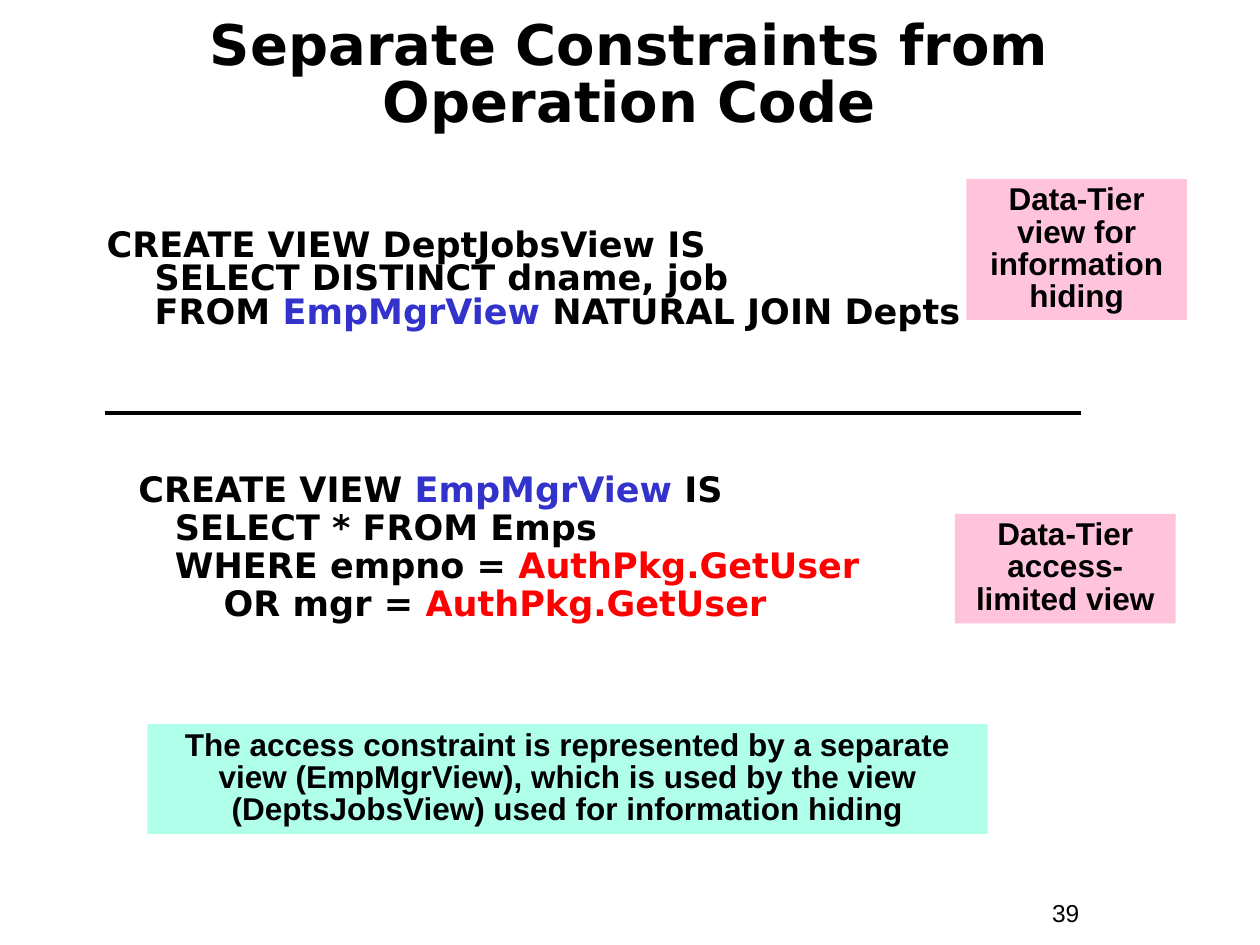
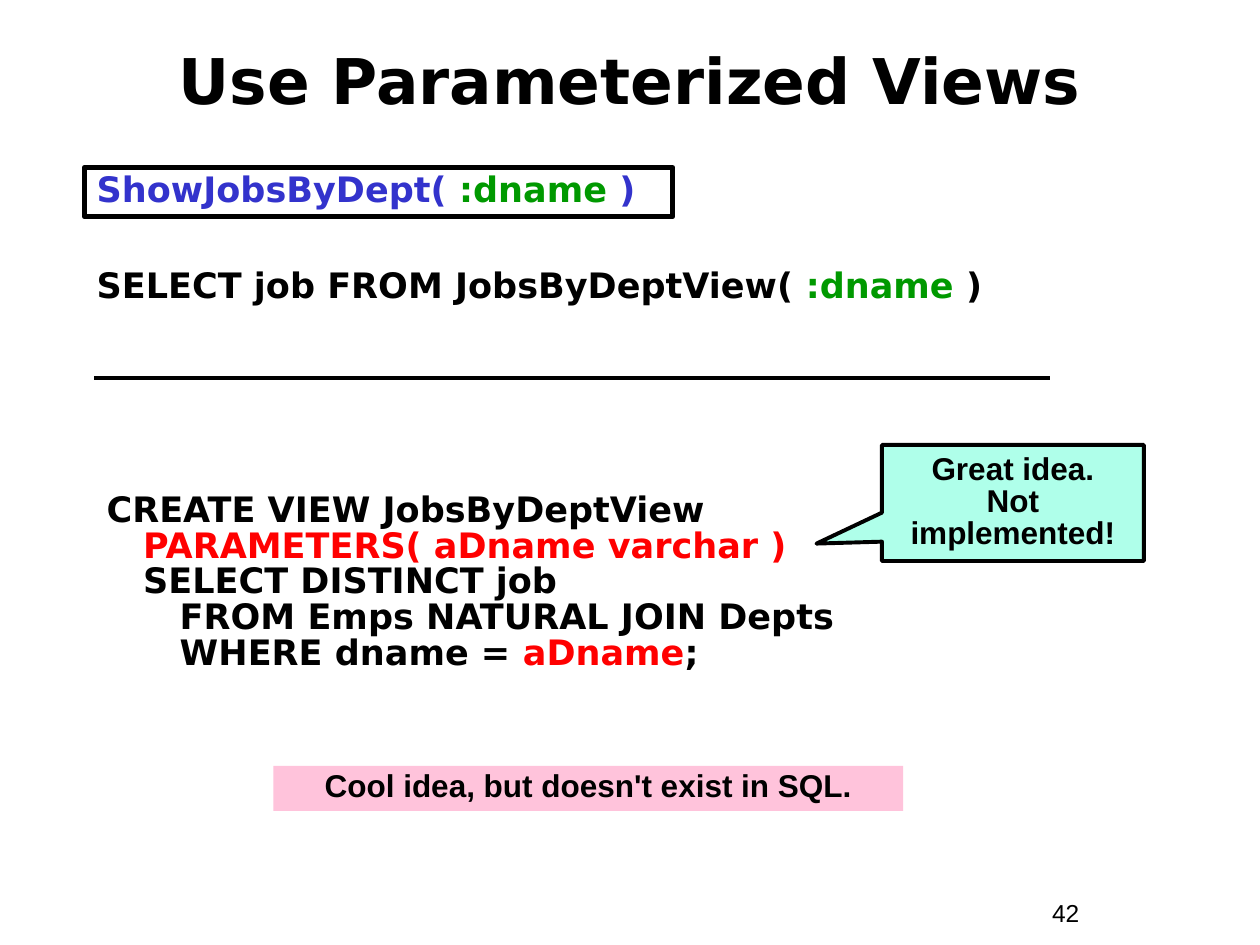
"""Build two slides on separating constraints with database views."""
from dataclasses import dataclass
from typing import NamedTuple, Optional, Union

import pptx
import pptx.dml.color
import pptx.enum.shapes
import pptx.enum.text
import pptx.oxml
import pptx.util

Cm = pptx.util.Cm
Pt = pptx.util.Pt
Kind = pptx.enum.shapes.MSO_SHAPE
Align = pptx.enum.text.PP_ALIGN
Anchor = pptx.enum.text.MSO_ANCHOR

INK = {
    "black": "000000",
    "blue": "3333CC",
    "red": "FF0000",
    "green": "009900",
    "pink": "FFC3DB",
    "mint": "AFFFEA",
}
SANS = "DejaVu Sans"
DRAW = "http://schemas.openxmlformats.org/drawingml/2006/main"


class Piece(NamedTuple):
    text: str
    ink: str = "black"


class Spot(NamedTuple):
    left: float
    top: float
    width: float
    height: float


class Style(NamedTuple):
    font: str
    size: int
    bold: bool = True
    align: Align = Align.LEFT
    anchor: Anchor = Anchor.TOP


Line = Union[str, list[Piece]]
HEAD = Style(SANS, 36, align=Align.CENTER, anchor=Anchor.MIDDLE)
CODE = Style(SANS, 20)
NOTE = Style("Arial", 18, align=Align.CENTER)
PAGE = Style("Arial", 14, bold=False)


@dataclass
class Block:
    spot: Spot
    style: Style
    lines: list[Line]
    pitch: float = 0.85
    kind: Optional[Kind] = None
    fill: str = ""
    edge: float = 0
    hang: float = 0
    tip: tuple[float, ...] = ()


@dataclass
class Page:
    number: int
    rule: tuple[float, float, float]
    blocks: list[Block]


def shade(name: str) -> pptx.dml.color.RGBColor:
    """Return the named colour."""
    return pptx.dml.color.RGBColor.from_string(INK[name])


def write(frame, block: Block) -> None:
    """Fill a text frame with the lines of a block."""
    style = block.style
    frame.word_wrap = True
    frame.vertical_anchor = style.anchor
    for row, line in enumerate(block.lines):
        para = frame.add_paragraph() if row else frame.paragraphs[0]
        pieces = [Piece(line)] if isinstance(line, str) else line
        para.text = pieces[0].text
        for piece in pieces[1:]:
            para.add_run().text = piece.text
        para.alignment = style.align
        para.line_spacing = block.pitch
        if row and block.hang:
            para._p.get_or_add_pPr().set("marL", str(Cm(block.hang)))
        for run, piece in zip(para.runs, pieces):
            run.font.name = style.font
            run.font.size = Pt(style.size)
            run.font.bold = style.bold
            run.font.color.rgb = shade(piece.ink)


def place(slide, block: Block) -> None:
    """Draw a block as a text box or as a preset shape."""
    spot = [Cm(side) for side in block.spot]
    if block.kind is None:
        write(slide.shapes.add_textbox(*spot).text_frame, block)
        return
    shape = slide.shapes.add_shape(block.kind, *spot)
    shape.shadow.inherit = False
    for index, value in enumerate(block.tip):
        shape.adjustments[index] = value
    if block.fill:
        shape.fill.solid()
        shape.fill.fore_color.rgb = shade(block.fill)
    else:
        shape.fill.background()
    if block.edge:
        shape.line.color.rgb = shade("black")
        shape.line.width = Pt(block.edge)
    else:
        shape.line.fill.background()
    write(shape.text_frame, block)


def divide(slide, start: float, end: float, top: float) -> None:
    """Draw the rule between the two code samples."""
    rule = slide.shapes.add_connector(
        pptx.enum.shapes.MSO_CONNECTOR.STRAIGHT, Cm(start), Cm(top), Cm(end), Cm(top)
    )
    rule.line.color.rgb = shade("black")
    rule.line.width = Pt(2.25)
    rule._element.spPr.append(pptx.oxml.parse_xml(f'<a:effectLst xmlns:a="{DRAW}"/>'))


def head(text: str, top: float, size: int = 36, pitch: float = 1.0) -> Block:
    """Return a slide title."""
    return Block(Spot(0.84, top, 23.7, 2.34), HEAD._replace(size=size), [text], pitch)


def note(spot: Spot, *lines: str, fill: str = "pink") -> Block:
    """Return a filled remark."""
    return Block(spot, NOTE, list(lines), kind=Kind.RECTANGLE, fill=fill)


VIEW = Piece("EmpMgrView", "blue")
USER = Piece("AuthPkg.GetUser", "red")
DEPT = Piece(":dname", "green")

PAGES = [
    Page(39, (2.11, 21.79, 8.33), [
        head("Separate Constraints from Operation Code", 0.38, 32, 0.85),
        note(Spot(19.48, 3.61, 4.45, 2.84), "Data-Tier", "view for information hiding"),
        Block(Spot(1.9, 4.52, 18.62, 2.34), CODE, [
            "CREATE VIEW DeptJobsView IS",
            "SELECT DISTINCT dname, job",
            [Piece("FROM "), VIEW, Piece(" NATURAL JOIN Depts")],
        ], pitch=0.8, hang=0.97),
        note(Spot(19.25, 10.36, 4.45, 2.21), "Data-Tier", "access-limited view"),
        Block(Spot(2.54, 9.4, 16.94, 3.3), CODE, [
            [Piece("CREATE VIEW "), VIEW, Piece(" IS")],
            "   SELECT * FROM Emps",
            [Piece("   WHERE empno = "), USER],
            [Piece("       OR mgr = "), USER],
        ], pitch=0.9),
        note(
            Spot(2.97, 14.6, 16.94, 2.21),
            "The access constraint is represented by a separate view (EmpMgrView), "
            "which is used by the view (DeptsJobsView) used for information hiding",
            fill="mint",
        ),
    ]),
    Page(42, (1.9, 21.16, 7.62), [
        head("Use Parameterized Views", 0.43),
        Block(Spot(1.7, 5.28, 18.62, 1.7), CODE, [
            [Piece("SELECT job FROM JobsByDeptView( "), DEPT, Piece(" )")],
        ], pitch=0.9),
        Block(Spot(1.7, 3.38, 11.86, 0.99), CODE, [
            [Piece("ShowJobsByDept( ", "blue"), DEPT, Piece(" )", "blue")],
        ], kind=Kind.RECTANGLE, edge=3),
        Block(Spot(1.9, 9.83, 19.69, 3.86), CODE, [
            "CREATE VIEW JobsByDeptView",
            [Piece("   PARAMETERS( aDname varchar )", "red")],
            "   SELECT DISTINCT job",
            "      FROM Emps NATURAL JOIN Depts",
            [Piece("      WHERE dname = "), Piece("aDname", "red"), Piece(";")],
        ]),
        note(Spot(5.51, 15.44, 12.7, 0.91), "Cool idea, but doesn't exist in SQL."),
        Block(
            Spot(17.78, 8.97, 5.28, 2.34), NOTE._replace(anchor=Anchor.MIDDLE),
            ["Great idea.", "Not implemented!"],
            kind=Kind.RECTANGULAR_CALLOUT, fill="mint", edge=2.25, tip=(-0.75, 0.35),
        ),
    ]),
]


def main() -> None:
    """Build and save the deck."""
    deck = pptx.Presentation()
    deck.slide_width, deck.slide_height = Cm(25.4), Cm(19.05)
    for page in PAGES:
        slide = deck.slides.add_slide(deck.slide_layouts[6])
        place(slide, Block(Spot(20.96, 17.98, 2.34, 0.86), PAGE, [str(page.number)], 1.0))
        divide(slide, *page.rule)
        for block in page.blocks:
            place(slide, block)
    deck.save("out.pptx")


if __name__ == "__main__":
    main()
